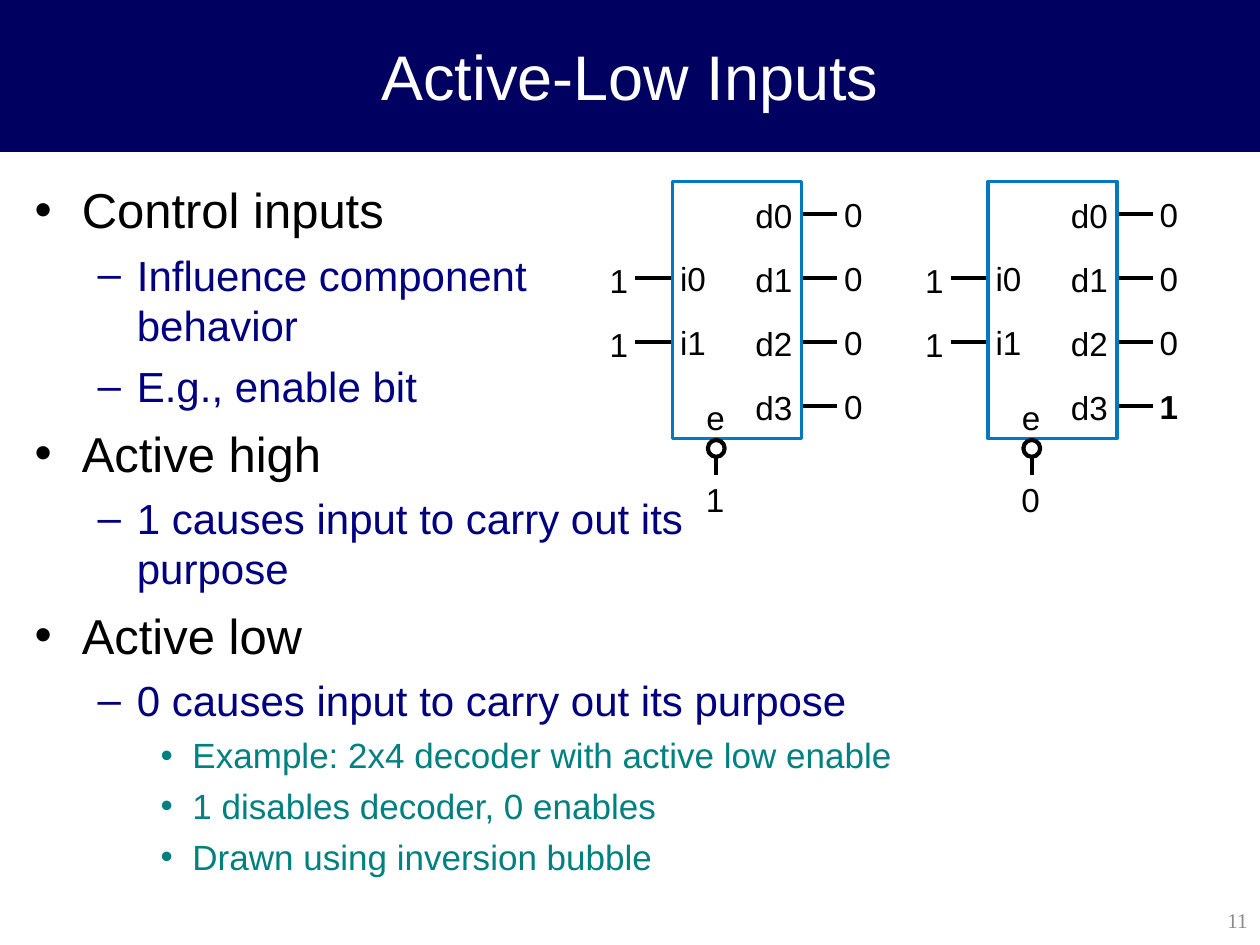
from lxml import etree
from pptx import Presentation
from pptx.dml.color import RGBColor
from pptx.enum.shapes import MSO_CONNECTOR, MSO_SHAPE
from pptx.enum.text import MSO_ANCHOR, MSO_AUTO_SIZE, PP_ALIGN
from pptx.oxml.ns import qn
from pptx.util import Cm, Pt

RECTANGLE, OVAL = MSO_SHAPE.RECTANGLE, MSO_SHAPE.OVAL
STRAIGHT = MSO_CONNECTOR.STRAIGHT
TOP, MIDDLE = MSO_ANCHOR.TOP, MSO_ANCHOR.MIDDLE
LEFT, CENTER, RIGHT = PP_ALIGN.LEFT, PP_ALIGN.CENTER, PP_ALIGN.RIGHT
GROW = MSO_AUTO_SIZE.SHAPE_TO_FIT_TEXT

NAVY, BLACK, WHITE, BLUE, GREY = "000060", "000000", "FFFFFF", "0079C1", "898989"

# level: (size, colour, bullet, left margin in cm, hanging in cm, space before)
LEVELS = [
    (28, BLACK, "•", 0.95, 0.95, 7),
    (24, "000080", "–", 2.06, 0.79, 6),
    (20, "008080", "•", 3.18, 0.64, 5),
]
OUTLINE = [
    (0, "Control inputs"),
    (1, "Influence component \vbehavior"),
    (1, "E.g., enable bit"),
    (0, "Active high"),
    (1, "1 causes input to carry out its \vpurpose"),
    (0, "Active low"),
    (1, "0 causes input to carry out its purpose"),
    (2, "Example: 2x4 decoder with active low enable"),
    (2, "1 disables decoder, 0 enables"),
    (2, "Drawn using inversion bubble"),
]

DECODER_TOP, DECODER_WIDTH, DECODER_HEIGHT = 3.66, 2.6, 5.18
FIRST_ROW, ROW_STEP = 4.32, 1.29
LABEL_HEIGHT = 0.81
NARROW_WIDTH, CHAR_WIDTH = 0.17, 0.39


def colour(value):
    return RGBColor.from_string(value)


class SlideBuilder:
    def __init__(self, page, font):
        self.page = page
        self.font = font

    def format_runs(self, para, size, fill, bold=False, font=None):
        for span in para.runs:
            span.font.name = font or self.font
            span.font.size = Pt(size)
            span.font.bold = bold
            span.font.color.rgb = colour(fill)

    def shape(self, kind, left, top, width, height, line, weight, fill=None):
        box = self.page.shapes.add_shape(
            kind, Cm(left), Cm(top), Cm(width), Cm(height))
        box.shadow.inherit = False
        if fill:
            box.fill.solid()
            box.fill.fore_color.rgb = colour(fill)
        else:
            box.fill.background()
        box.line.color.rgb = colour(line)
        box.line.width = Pt(weight)

    def text(self, content, left, top, width, height, size, fill,
             align=LEFT, anchor=TOP, font=None):
        box = self.page.shapes.add_textbox(
            Cm(left), Cm(top), Cm(width), Cm(height))
        frame = box.text_frame
        frame.word_wrap = True
        frame.vertical_anchor = anchor
        frame.text = content
        para = frame.paragraphs[0]
        para.alignment = align
        self.format_runs(para, size, fill, font=font)

    def label(self, content, left, top, bold=False):
        """Add a one-line label without margins, as wide as its characters."""
        width = sum(NARROW_WIDTH if char == "i" else CHAR_WIDTH
                    for char in content)
        box = self.page.shapes.add_textbox(
            Cm(left), Cm(top), Cm(width), Cm(LABEL_HEIGHT))
        frame = box.text_frame
        frame.margin_left = frame.margin_right = 0
        frame.margin_top = frame.margin_bottom = 0
        frame.word_wrap = False
        frame.auto_size = GROW
        frame.text = content
        self.format_runs(frame.paragraphs[0], 19, BLACK, bold)

    def wire(self, x1, y1, x2, y2):
        line = self.page.shapes.add_connector(
            STRAIGHT, Cm(x1), Cm(y1), Cm(x2), Cm(y2))
        line.line.color.rgb = colour(BLACK)
        line.line.width = Pt(2.38)
        etree.SubElement(line._element.spPr, qn("a:effectLst"))

    def outline(self, items, left, top, width, height):
        box = self.page.shapes.add_textbox(
            Cm(left), Cm(top), Cm(width), Cm(height))
        frame = box.text_frame
        frame.word_wrap = True
        for index, (level, content) in enumerate(items):
            size, fill, bullet, margin, hanging, gap = LEVELS[level]
            para = frame.add_paragraph() if index else frame.paragraphs[0]
            para.text = content
            para.level = level
            para.space_before = Pt(gap if index else 0)
            properties = para._p.get_or_add_pPr()
            properties.set("marL", str(Cm(margin)))
            properties.set("indent", str(-Cm(hanging)))
            bullet_colour = etree.SubElement(properties, qn("a:buClr"))
            etree.SubElement(bullet_colour, qn("a:srgbClr"), val=fill)
            etree.SubElement(properties, qn("a:buFont"), typeface=self.font)
            etree.SubElement(properties, qn("a:buChar"), char=bullet)
            self.format_runs(para, size, fill)

    def decoder(self, left, enable, outputs):
        """Draw a 2x4 decoder with an inverted enable input."""
        right = left + DECODER_WIDTH
        bottom = DECODER_TOP + DECODER_HEIGHT
        rows = [FIRST_ROW + ROW_STEP * row for row in range(4)]
        for number, y in enumerate(rows[1:3]):
            self.wire(left - 0.75, y, left, y)
            self.label(f"i{number}", left + 0.15, y - 0.4)
            self.label("1", left - 1.27, y - 0.37)
        for number, (y, value) in enumerate(zip(rows, outputs)):
            self.wire(right, y, right + 0.72, y)
            self.label(f"d{number}", left + 1.67, y - 0.38)
            self.label(value, right + 0.86, y - 0.4, bold=value == "1")
        self.shape(RECTANGLE, left, DECODER_TOP, DECODER_WIDTH,
                   DECODER_HEIGHT, BLUE, 1.87)
        self.label("e", left + 0.68, bottom - 0.84)
        self.wire(left + 0.88, bottom + 0.74, left + 0.88, bottom + 0.03)
        self.shape(OVAL, left + 0.71, bottom + 0.03, 0.34, 0.34,
                   BLACK, 2.38, WHITE)
        self.label(enable, left + 0.67, bottom + 0.83)


def main():
    deck = Presentation()
    deck.slide_width, deck.slide_height = Cm(25.4), Cm(19.05)
    builder = SlideBuilder(deck.slides.add_slide(deck.slide_layouts[6]), "Arial")
    builder.shape(RECTANGLE, 0, 0, 25.4, 3.05, NAVY, 0.75, NAVY)
    builder.text("Active-Low Inputs", 0, 0, 25.4, 3.05, 36, WHITE,
                 CENTER, MIDDLE)
    builder.outline(OUTLINE, 0.45, 3.5, 24.54, 14.5)
    builder.text("11", 20.02, 18.03, 5.38, 1.02, 12, GREY,
                 RIGHT, MIDDLE, "Times New Roman")
    builder.decoder(13.56, "1", "0000")
    builder.decoder(19.92, "0", "0001")
    deck.save("out.pptx")


if __name__ == "__main__":
    main()
